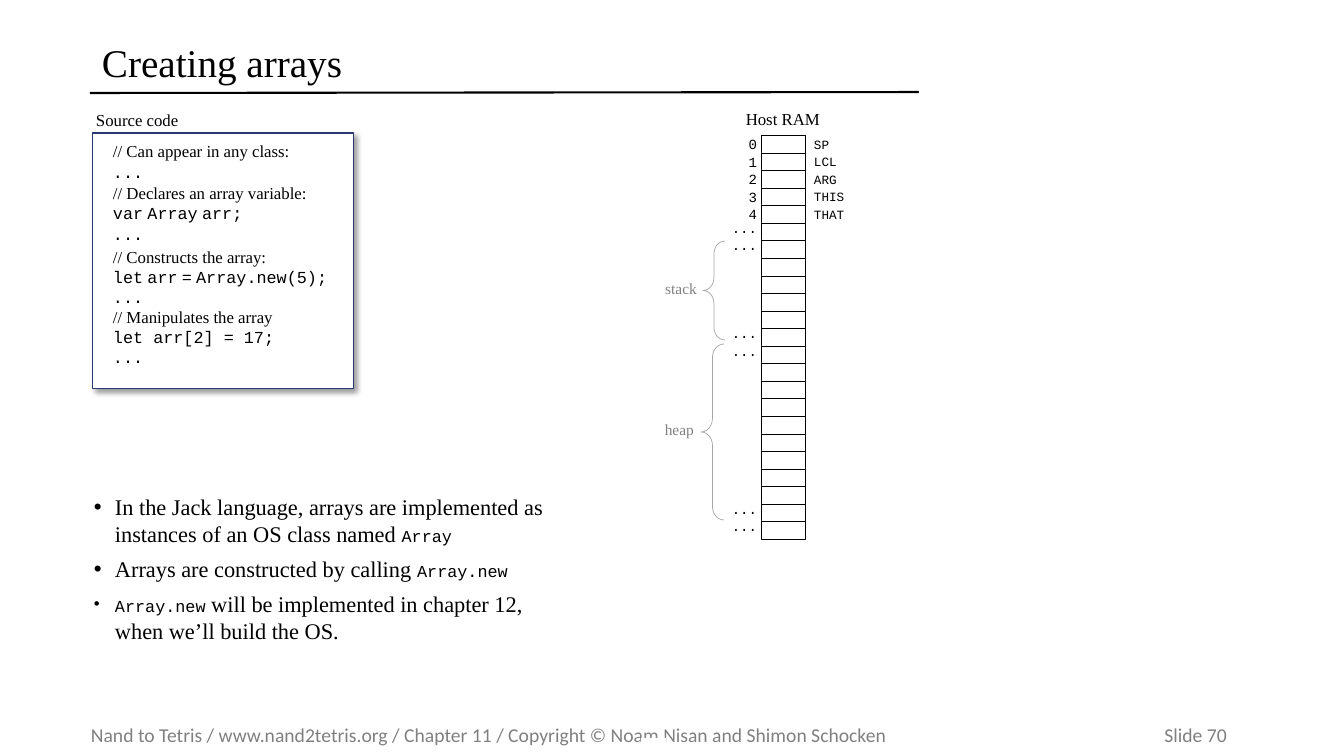
from lxml import etree
from pptx import Presentation
from pptx.dml.color import RGBColor
from pptx.enum.shapes import MSO_CONNECTOR, MSO_SHAPE
from pptx.enum.text import MSO_ANCHOR, PP_ALIGN
from pptx.oxml import parse_xml
from pptx.oxml.ns import nsdecls, qn
from pptx.util import Pt

LEFT, RIGHT, JUSTIFY = PP_ALIGN.LEFT, PP_ALIGN.RIGHT, PP_ALIGN.JUSTIFY
TOP, MIDDLE, BOTTOM = MSO_ANCHOR.TOP, MSO_ANCHOR.MIDDLE, MSO_ANCHOR.BOTTOM
RECT, BRACE = MSO_SHAPE.RECTANGLE, MSO_SHAPE.LEFT_BRACE
SERIF, MONO, SANS = "Times New Roman", "Courier New", "Calibri"

COLORS = {"ink": "000000", "paper": "FFFFFF", "muted": "808080",
          "brace": "A6A6A6", "frame": "293973"}

# Content: each paragraph is a list of (text, font, size) runs
TITLE = "Creating arrays"
FOOTER = ("Nand to Tetris / www.nand2tetris.org / Chapter 11 / "
          "Copyright © Noam Nisan and Shimon Schocken\tSlide 70")
DOTS = [("...", MONO, 12)]
SPACE = (" ", SERIF, 12)
SOURCE_CODE = [
    [("// Can appear in any class:", SERIF, 12)],
    DOTS,
    [("// Declares an array variable:", SERIF, 12)],
    [("var", MONO, 12), SPACE, ("Array", MONO, 12), SPACE, ("arr;", MONO, 12)],
    DOTS,
    [("// Constructs the array:", SERIF, 12)],
    [("let", MONO, 12), SPACE, ("arr", MONO, 12), SPACE, ("=", MONO, 12),
     SPACE, ("Array.new(5);", MONO, 12)],
    DOTS,
    [("// Manipulates the array", SERIF, 12)],
    [("let arr[2] = 17;", MONO, 12)],
    DOTS,
]
TIGHT_LINES = {0, 1, 2, 5}   # half line spacing, 65% space before
SPACED_LINES = {3, 4, 6}     # one point before
REMARKS = [
    [("In the Jack language, arrays are implemented as instances of "
      "an OS class named ", SERIF, 16), ("Array", MONO, 12)],
    [("Arrays are constructed by calling ", SERIF, 16),
     ("Array.new", MONO, 12)],
    [("Array.new", MONO, 12),
     (" will be implemented in chapter 12,\vwhen we’ll build the OS.",
      SERIF, 16)],
]
POINTERS = ["SP", "LCL", "ARG", "THIS", "THAT"]
ELLIPSIS_ROWS = [5, 6, 11, 12, 21, 22]
# name, name box left and top, brace left, top, width and height
SEGMENTS = [("stack", 658, 279, 703, 241, 22, 99),
            ("heap", 655, 420, 701, 344, 23, 176)]

RAM_ROWS, RAM_TOP, RAM_HEIGHT = 23, 135, 404
CELL_LEFT, CELL_WIDTH, CELL_HEIGHT = 761, 44, 18
ADDRESS_LEFT, POINTER_LEFT, LABEL_WIDTH = 718, 814, 43
LABEL_INSETS = (0, 5, 4, 5)


def px(n):
    return round(n * 914400 / 100.8)


def color(name):
    return RGBColor.from_string(COLORS[name])


prs = Presentation()
prs.slide_width, prs.slide_height = px(1344), px(756)
slide = prs.slides.add_slide(prs.slide_layouts[6])
shapes = slide.shapes


def write(shape, paragraphs, insets=(10, 5, 10, 5), anchor=TOP, ink="ink",
          align=LEFT, before=0, spacing=None, bullet=False, tab=None):
    frame = shape.text_frame
    sides = zip(("left", "top", "right", "bottom"), insets)
    settings = {f"margin_{side}": px(n) for side, n in sides}
    settings.update(word_wrap=True, vertical_anchor=anchor)
    for key, value in settings.items():
        setattr(frame, key, value)
    for i, runs in enumerate(paragraphs):
        par = frame.add_paragraph() if i else frame.paragraphs[0]
        par.alignment = align
        if spacing:
            par.line_spacing = spacing
        if i and before:
            par.space_before = Pt(before)
        props = par._p.get_or_add_pPr()
        if bullet:
            props.set("marL", str(px(21)))
            props.set("indent", str(-px(21)))
            etree.SubElement(props, qn("a:buFont")).set("typeface", "Arial")
            etree.SubElement(props, qn("a:buChar")).set("char", "•")
        if tab:
            tabs = etree.SubElement(props, qn("a:tabLst"))
            stop = etree.SubElement(tabs, qn("a:tab"))
            stop.set("pos", str(px(tab)))
            stop.set("algn", "r")
        for text, font, size in runs:
            *earlier, last = text.split("\v")
            for part in earlier + [last]:
                run = par.add_run()
                run.text = part
                run.font.name, run.font.size = font, Pt(size)
                run.font.color.rgb = color(ink)
                if part is not last:
                    par.add_line_break()


def add_text(x, y, w, h, paragraphs, **formats):
    write(shapes.add_textbox(px(x), px(y), px(w), px(h)), paragraphs, **formats)


def add_box(kind, x, y, w, h, fill=None, line=None, width=0.5):
    box = shapes.add_shape(kind, px(x), px(y), px(w), px(h))
    box.shadow.inherit = False
    if fill:
        box.fill.solid()
        box.fill.fore_color.rgb = color(fill)
    else:
        box.fill.background()
    if line:
        box.line.color.rgb = color(line)
        box.line.width = Pt(width)
    else:
        box.line.fill.background()
    return box


def add_label(x, y, text, font, size, w=LABEL_WIDTH, anchor=MIDDLE, **formats):
    write(add_box(RECT, x, y, w, CELL_HEIGHT, "paper"), [[(text, font, size)]],
          insets=LABEL_INSETS, anchor=anchor, **formats)


# Footer, with the small patch over its lower edge
add_text(91, 718, 1235, 34, [[(FOOTER, SANS, 14)]], insets=(0, 5, 0, 5),
         anchor=MIDDLE, ink="muted", tab=1136)
add_box(RECT, 641, 738, 25, 17, fill="paper")

# Title and rule, whose right end is trimmed by a patch
add_text(92, 33, 860, 63, [[(TITLE, SERIF, 28)]], anchor=MIDDLE, spacing=0.9)
rule = shapes.add_connector(MSO_CONNECTOR.STRAIGHT, px(90), px(93), px(952), px(92))
rule.line.color.rgb = color("ink")
rule.line.width = Pt(1.5)
etree.SubElement(rule._element.spPr, qn("a:effectLst"))
add_box(RECT, 919, 75, 67, 30, fill="paper")

# Source code
code = add_box(RECT, 93, 133, 261, 256, "paper", "frame", 0.75)
effects = code._element.spPr.find(qn("a:effectLst"))
effects.append(parse_xml(
    f'<a:outerShdw {nsdecls("a")} blurRad="{Pt(4)}" dist="{Pt(3)}" dir="2700000" '
    'algn="tl" rotWithShape="0"><a:srgbClr val="000000"><a:alpha val="40000"/>'
    '</a:srgbClr></a:outerShdw>'))
write(code, SOURCE_CODE, insets=(20, 16, 10, 8), align=JUSTIFY)
for i, line in enumerate(code.text_frame.paragraphs):
    if i in SPACED_LINES:
        line.space_before = Pt(1)
    elif i in TIGHT_LINES:
        line.line_spacing = 0.5
        if i:
            line.space_before = Pt(0)
            gap = line._p.pPr.find(qn("a:spcBef"))
            gap.remove(gap[0])
            etree.SubElement(gap, qn("a:spcPct")).set("val", "65000")
add_text(86, 105, 284, 30, [[("Source code", SERIF, 12)]])

# Host RAM: cells, addresses and pointer names
add_label(691, 110, "Host RAM", SERIF, 12, w=133, align=RIGHT)
for row in range(RAM_ROWS):
    y = round(RAM_TOP + row * RAM_HEIGHT / RAM_ROWS)
    if row < len(POINTERS):
        add_label(ADDRESS_LEFT, y, str(row), MONO, 10, align=RIGHT)
        add_label(POINTER_LEFT, y, POINTERS[row], MONO, 9)
    elif row in ELLIPSIS_ROWS:
        add_label(ADDRESS_LEFT, y, "...", MONO, 10, anchor=BOTTOM, align=RIGHT)
    add_box(RECT, CELL_LEFT, y, CELL_WIDTH, CELL_HEIGHT, "paper", "ink")

# Stack and heap braces
for name, name_x, name_y, x, y, w, h in SEGMENTS:
    brace = add_box(BRACE, x, y, w, h, line="brace")
    brace.adjustments[0] = 0.58
    brace.adjustments[1] = 0.5
    add_label(name_x, name_y, name, SERIF, 11, ink="muted", align=RIGHT)

# Remarks
add_text(84, 488, 541, 163, REMARKS, before=6, bullet=True)

prs.save("out.pptx")
